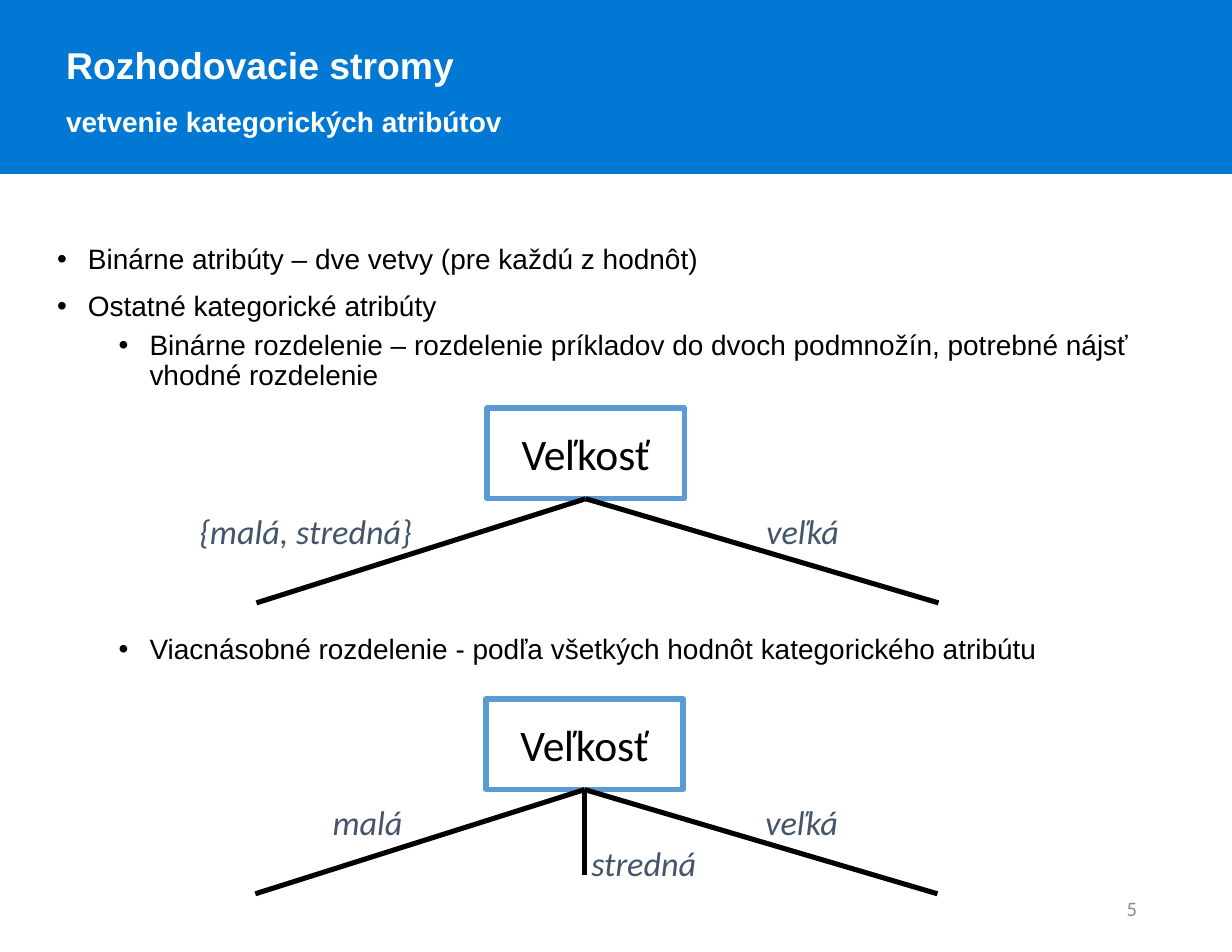
"""Build a slide on splitting categorical attributes in decision trees."""
from dataclasses import dataclass

from lxml.etree import SubElement
from pptx import Presentation
from pptx.dml.color import RGBColor
from pptx.enum.shapes import MSO_CONNECTOR, MSO_SHAPE
from pptx.enum.text import MSO_ANCHOR, MSO_AUTO_SIZE, PP_ALIGN
from pptx.oxml.ns import qn
from pptx.shapes.autoshape import Shape
from pptx.slide import Slide
from pptx.util import Pt

BLUE = RGBColor(0x00, 0x78, 0xD4)
NODE_BLUE = RGBColor(0x5B, 0x9B, 0xD5)
SLATE = RGBColor(0x44, 0x54, 0x6A)
GRAY = RGBColor(0x8C, 0x8C, 0x8C)
WHITE = RGBColor(0xFF, 0xFF, 0xFF)
BLACK = RGBColor(0x00, 0x00, 0x00)

NODE_WIDTH, NODE_HEIGHT = 126.7, 58.3
LABEL_HEIGHT = 33.8


@dataclass(frozen=True)
class Branch:
    """A branch end measured from the node's foot, and a label from its corner."""
    end_x: float
    end_y: float
    label: str
    label_x: float
    label_y: float
    label_width: float


@dataclass(frozen=True)
class Tree:
    """A root node with its branches."""
    left: float
    top: float
    text: str
    branches: tuple[Branch, ...]


@dataclass(frozen=True)
class Bullet:
    """A list item with its level and the space above it."""
    text: str
    level: int
    space_before: float


LARGE = Branch(226.8, 67, "veľká", 172.4, 62.4, 61.2)
TREES = (
    Tree(313.2, 262.3, "Veľkosť", (
        Branch(-211.7, 67, "{malá, stredná}", -192.2, 62.4, 152.6),
        LARGE,
    )),
    Tree(312.5, 449.3, "Veľkosť", (
        Branch(-211.7, 67, "malá", -105.8, 62.4, 59.8),
        Branch(0, 54.7, "stredná", 60.5, 88.6, 82.8),
        LARGE,
    )),
)
BULLETS = (
    Bullet("Binárne atribúty – dve vetvy (pre každú z hodnôt)", 0, 11),
    Bullet("Ostatné kategorické atribúty", 0, 11),
    Bullet("Binárne rozdelenie – rozdelenie príkladov do dvoch podmnožín, "
           "potrebné nájsť vhodné rozdelenie", 1, 5.5),
    Bullet("Viacnásobné rozdelenie - podľa všetkých hodnôt kategorického atribútu",
           1, 156.5),
)


def write(shape: Shape, text: str, *, size: float, color: RGBColor = BLACK,
          font: str = "Calibri", bold: bool = False, italic: bool = False,
          align: PP_ALIGN = PP_ALIGN.LEFT, spacing: float = 1.0,
          before: float = 0, level: int = 0, first: bool = True):
    """Write one formatted paragraph into a shape and return it."""
    frame = shape.text_frame
    paragraph = frame.paragraphs[0] if first else frame.add_paragraph()
    paragraph.level = level
    paragraph.alignment = align
    paragraph.line_spacing = spacing
    paragraph.space_before = Pt(before)
    run = paragraph.add_run()
    run.text = text
    run.font.name = font
    run.font.size = Pt(size)
    run.font.bold = bold
    run.font.italic = italic
    run.font.color.rgb = color
    return paragraph


def place(shape: Shape, left: float, top: float, width: float, height: float) -> None:
    """Move and size a placeholder, with its text at the top."""
    shape.left, shape.top = Pt(left), Pt(top)
    shape.width, shape.height = Pt(width), Pt(height)
    shape.text_frame.vertical_anchor = MSO_ANCHOR.TOP
    shape.text_frame.auto_size = MSO_AUTO_SIZE.NONE


def add_rectangle(slide: Slide, left: float, top: float, width: float, height: float,
                  line: RGBColor, weight: float) -> Shape:
    """Add an outlined rectangle without fill or shadow."""
    shape = slide.shapes.add_shape(
        MSO_SHAPE.RECTANGLE, Pt(left), Pt(top), Pt(width), Pt(height))
    shape.shadow.inherit = False
    shape.fill.background()
    shape.line.color.rgb = line
    shape.line.width = Pt(weight)
    return shape


def add_header(slide: Slide) -> None:
    """Add the title and the band behind it."""
    title = slide.shapes.title
    place(title, 35.3, 9.4, 733, 80)
    write(title, "Rozhodovacie stromy", size=24, color=WHITE, font="Arial",
          bold=True, spacing=1.5)
    write(title, "vetvenie kategorických atribútov", size=18, color=WHITE,
          font="Arial", bold=True, spacing=1.5, first=False)
    band = add_rectangle(slide, 0, 0, 792, 111.6, BLUE, 1)
    band.fill.solid()
    band.fill.fore_color.rgb = BLUE
    title.element.addprevious(band.element)


def add_bullets(slide: Slide) -> None:
    """Fill the body placeholder with the list."""
    body = slide.placeholders[1]
    place(body, 29.5, 154, 733, 413.3)
    for index, bullet in enumerate(BULLETS):
        paragraph = write(body, bullet.text, size=18, font="Arial", spacing=0.9,
                          before=bullet.space_before, level=bullet.level,
                          first=index == 0)
        properties = paragraph._p.get_or_add_pPr()
        properties.set("marL", str(Pt(19.8 + 39.6 * bullet.level)))
        properties.set("indent", str(Pt(-19.8)))
        SubElement(properties, qn("a:buFont"), typeface="Arial")
        SubElement(properties, qn("a:buChar"), char="•")


def add_branch(slide: Slide, node: Shape, tree: Tree, branch: Branch) -> None:
    """Add one branch line with its label."""
    foot_x, foot_y = tree.left + NODE_WIDTH / 2, tree.top + NODE_HEIGHT
    line = slide.shapes.add_connector(
        MSO_CONNECTOR.STRAIGHT, Pt(foot_x), Pt(foot_y),
        Pt(foot_x + branch.end_x), Pt(foot_y + branch.end_y))
    line.begin_connect(node, 2)
    line.line.color.rgb = BLACK
    line.line.width = Pt(3.25)
    SubElement(line.element.spPr, qn("a:effectLst"))
    label = slide.shapes.add_textbox(
        Pt(tree.left + branch.label_x), Pt(tree.top + branch.label_y),
        Pt(branch.label_width), Pt(LABEL_HEIGHT))
    label.text_frame.word_wrap = False
    label.text_frame.auto_size = MSO_AUTO_SIZE.SHAPE_TO_FIT_TEXT
    write(label, branch.label, size=22, color=SLATE, italic=True)


def add_tree(slide: Slide, tree: Tree) -> None:
    """Add a root node and all its branches."""
    node = add_rectangle(slide, tree.left, tree.top, NODE_WIDTH, NODE_HEIGHT,
                         NODE_BLUE, 3.5)
    node.text_frame.vertical_anchor = MSO_ANCHOR.MIDDLE
    write(node, tree.text, size=28, align=PP_ALIGN.CENTER)
    for branch in tree.branches:
        add_branch(slide, node, tree, branch)


def add_page_number(slide: Slide) -> None:
    """Add the page number at the lower right."""
    number = slide.shapes.add_textbox(Pt(559.4), Pt(567.4), Pt(178.6), Pt(32.4))
    number.text_frame.word_wrap = True
    number.text_frame.vertical_anchor = MSO_ANCHOR.MIDDLE
    write(number, "5", size=13.2, color=GRAY, align=PP_ALIGN.RIGHT)


def main() -> None:
    """Build and save the presentation."""
    presentation = Presentation()
    presentation.slide_width, presentation.slide_height = Pt(792), Pt(612)
    slide = presentation.slides.add_slide(presentation.slide_layouts[1])
    add_header(slide)
    add_bullets(slide)
    for tree in TREES:
        add_tree(slide, tree)
    add_page_number(slide)
    presentation.save("out.pptx")


if __name__ == "__main__":
    main()
